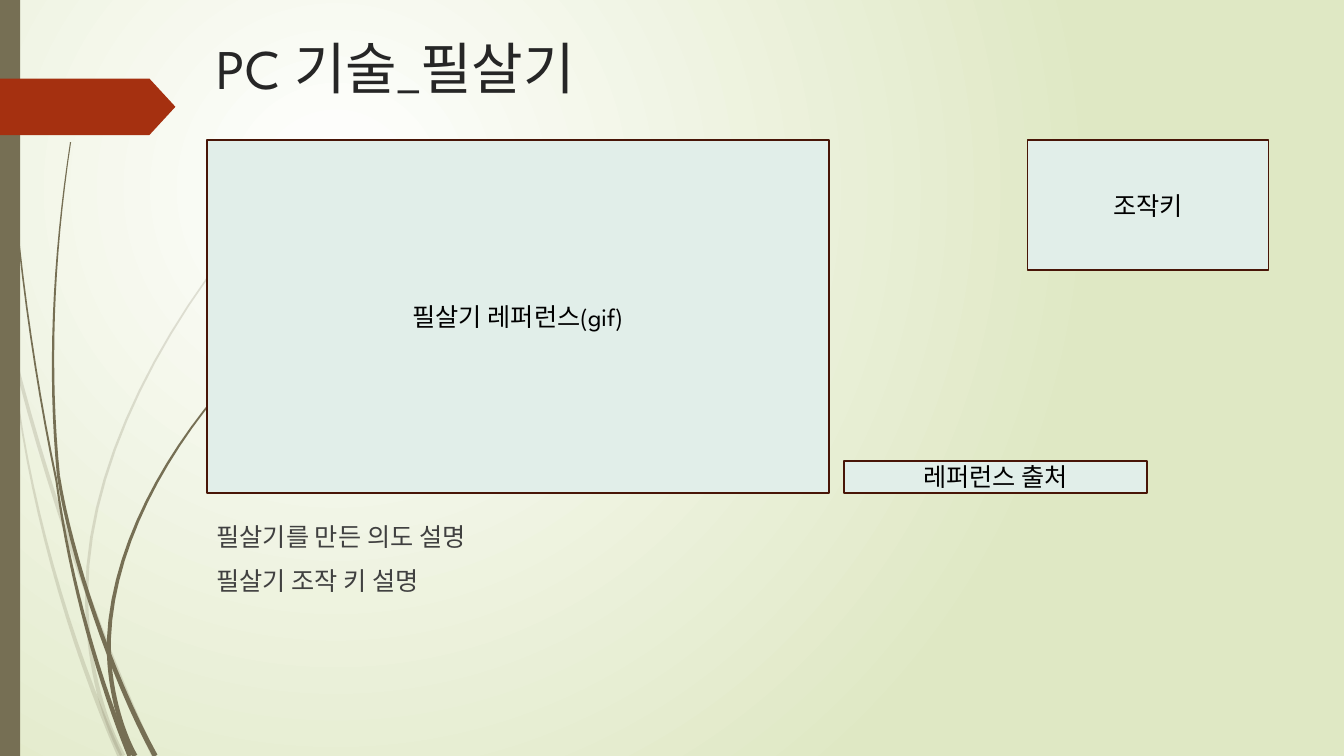
from dataclasses import dataclass
from math import hypot

from lxml import etree
from pptx import Presentation
from pptx.dml.color import RGBColor
from pptx.enum.shapes import MSO_SHAPE
from pptx.enum.text import MSO_ANCHOR, PP_ALIGN
from pptx.oxml.ns import qn
from pptx.util import Emu, Inches, Pt

RECTANGLE, ARROW = MSO_SHAPE.RECTANGLE, MSO_SHAPE.PENTAGON
TOP, MIDDLE = MSO_ANCHOR.TOP, MSO_ANCHOR.MIDDLE
LEFT, CENTER = PP_ALIGN.LEFT, PP_ALIGN.CENTER

# Grid of square cells: all positions below are whole columns and rows.
COLUMNS, ROWS = 1333, 750
CELL = Inches(0.01)
MARGIN, RIGHT = 205, 1258
PANEL_TOP, PANEL_BOTTOM = 139, 489
BLADE_STEPS = 16

FONT = "League Spartan"
COLORS = {
    "glow": "FFFFFF",
    "edge": "DFE8C4",
    "stem": "766F54",
    "arrow": "A53010",
    "panel": "E1EEE9",
    "border": "481507",
    "title": "262626",
    "body": "404040",
    "label": "000000",
}

Point = tuple[float, float]


@dataclass
class Area:
    left: int
    top: int
    right: int
    bottom: int

    def frame(self) -> list[Emu]:
        """Left, top, width and height as lengths."""
        cells = (self.left, self.top, self.right - self.left, self.bottom - self.top)
        return [Emu(cell * CELL) for cell in cells]


@dataclass
class TextStyle:
    size: int
    color: str
    align: PP_ALIGN = LEFT
    anchor: MSO_ANCHOR = TOP
    space_before: int = 0


@dataclass
class TextBlock:
    area: Area
    lines: list[str]
    style: TextStyle


@dataclass
class Blade:
    """A cubic curve that widens from tip to root."""
    tip: Point
    bend: Point
    lower_bend: Point
    root: Point
    tip_width: int = 1
    root_width: int = 5

    def outline(self) -> list[Point]:
        one_side, other_side = [], []
        for step in range(BLADE_STEPS + 1):
            t = step / BLADE_STEPS
            s = 1 - t
            x, y = (s**3 * a + 3 * s * s * t * b + 3 * s * t * t * c + t**3 * d
                    for a, b, c, d in zip(self.tip, self.bend, self.lower_bend, self.root))
            dx, dy = (s * s * (b - a) + 2 * s * t * (c - b) + t * t * (d - c)
                      for a, b, c, d in zip(self.tip, self.bend, self.lower_bend, self.root))
            half = (s * self.tip_width + t * self.root_width) / 2 / hypot(dx, dy)
            one_side.append((x - dy * half, y + dx * half))
            other_side.append((x + dy * half, y - dx * half))
        return one_side + other_side[::-1]


LABEL = TextStyle(18, "label", CENTER, MIDDLE)
TEXTS = [
    TextBlock(Area(MARGIN, 28, RIGHT, 116), ["PC 기술_필살기"], TextStyle(40, "title")),
    TextBlock(Area(MARGIN, 512, RIGHT, 732),
              ["필살기를 만든 의도 설명", "필살기 조작 키 설명"],
              TextStyle(18, "body", space_before=10)),
]
PANELS = [
    TextBlock(Area(1019, PANEL_TOP, RIGHT, 268), ["조작키"], LABEL),
    TextBlock(Area(MARGIN, PANEL_TOP, 822, PANEL_BOTTOM), ["필살기 레퍼런스(gif)"], LABEL),
    TextBlock(Area(837, 457, 1138, PANEL_BOTTOM), ["레퍼런스 출처"], LABEL),
]

STEM_AREA = Area(0, 0, 20, ROWS)
ARROW_AREA = Area(0, 78, 174, 134)
# Blades grouped by opacity in percent, back to front.
GRASS = {
    20: [
        Blade((0, 290), (30, 440), (100, 640), (153, ROWS), 3),
        Blade((12, 350), (25, 490), (70, 640), (119, ROWS)),
        Blade((312, 153), (190, 270), (86, 440), (86, 590), root_width=3),
        Blade((86, 590), (86, 650), (100, 710), (122, ROWS), 3),
    ],
    100: [
        Blade((3, 0), (6, 160), (25, 330), (56, 477), root_width=2),
        Blade((56, 477), (70, 580), (100, 680), (129, ROWS), 2),
        Blade((70, 141), (52, 260), (48, 370), (58, 472), root_width=3),
        Blade((58, 472), (70, 550), (110, 670), (154, ROWS), 3),
        Blade((260, 344), (180, 420), (112, 530), (108, 635), root_width=4),
        Blade((108, 635), (107, 680), (120, 725), (134, ROWS), 4),
    ],
}


def color(name: str) -> RGBColor:
    return RGBColor.from_string(COLORS[name])


def paint(shape, fill: str, opacity: int = 100) -> None:
    """Flat fill without outline or shadow."""
    shape.shadow.inherit = False
    shape.fill.solid()
    shape.fill.fore_color.rgb = color(fill)
    shape.line.fill.background()
    if opacity < 100:
        tint = shape.element.find(f".//{qn('a:srgbClr')}")
        etree.SubElement(tint, qn("a:alpha"), val=str(opacity * 1000))


def draw_background(page) -> None:
    """Radial glow centred a quarter of the way in from the top left."""
    fill = page.background.fill
    fill.gradient()
    for stop, name in zip(fill.gradient_stops, ("glow", "edge")):
        stop.color.rgb = color(name)
    gradient = page.element.find(f".//{qn('a:gradFill')}")
    gradient.remove(gradient.find(qn("a:lin")))
    circle = etree.SubElement(gradient, qn("a:path"), {"path": "circle"})
    etree.SubElement(circle, qn("a:fillToRect"), l="50000", t="50000", r="100000", b="100000")


def draw_blade(shapes, blade: Blade, opacity: int) -> None:
    start, *others = [(x * CELL, y * CELL) for x, y in blade.outline()]
    builder = shapes.build_freeform(*start)
    builder.add_line_segments(others, close=True)
    paint(builder.convert_to_shape(), "stem", opacity)


def write(box, block: TextBlock) -> None:
    style, frame = block.style, box.text_frame
    frame.word_wrap = True
    frame.vertical_anchor = style.anchor
    frame.text = "\n".join(block.lines)
    for para in frame.paragraphs:
        para.alignment = style.align
        para.space_before = Pt(style.space_before)
        para.font.name = FONT
        para.font.size = Pt(style.size)
        para.font.color.rgb = color(style.color)


def draw_panel(page, panel: TextBlock) -> None:
    box = page.shapes.add_shape(RECTANGLE, *panel.area.frame())
    paint(box, "panel")
    box.line.color.rgb = color("border")
    box.line.width = Pt(1.25)
    write(box, panel)


def main() -> None:
    deck = Presentation()
    deck.slide_width, deck.slide_height = COLUMNS * CELL, ROWS * CELL
    page = deck.slides.add_slide(deck.slide_layouts[6])
    draw_background(page)
    for opacity, blades in GRASS.items():
        group = page.shapes.add_group_shape()
        for blade in blades:
            draw_blade(group.shapes, blade, opacity)
    paint(page.shapes.add_shape(RECTANGLE, *STEM_AREA.frame()), "stem")
    arrow = page.shapes.add_shape(ARROW, *ARROW_AREA.frame())
    arrow.adjustments[0] = 0.46
    paint(arrow, "arrow")
    for block in TEXTS:
        write(page.shapes.add_textbox(*block.area.frame()), block)
    for panel in PANELS:
        draw_panel(page, panel)
    deck.save("out.pptx")


if __name__ == "__main__":
    main()
